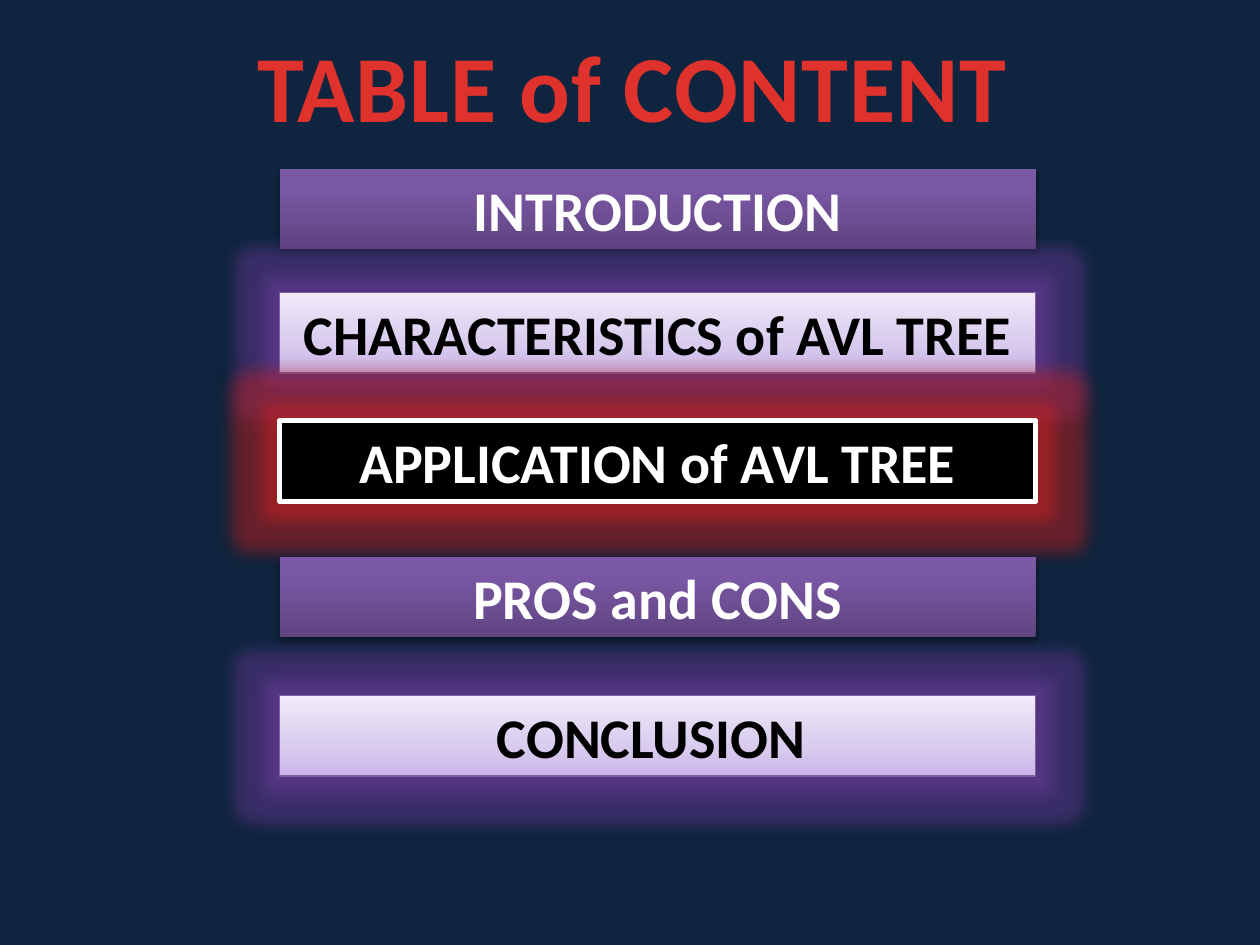
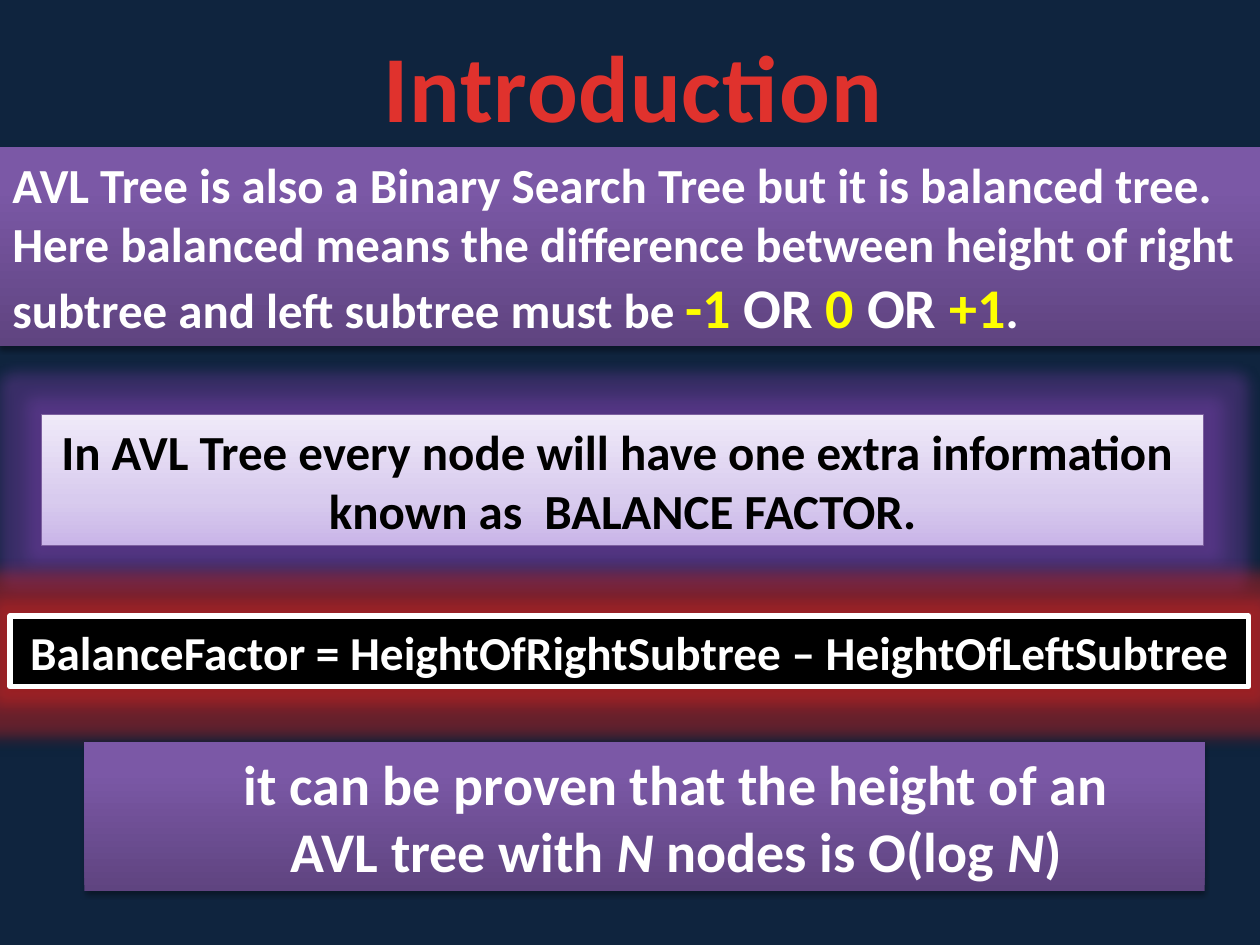
from lxml import etree
from pptx import Presentation
from pptx.dml.color import RGBColor
from pptx.enum.shapes import MSO_SHAPE
from pptx.enum.text import MSO_AUTO_SIZE, PP_ALIGN
from pptx.oxml.ns import qn
from pptx.util import Pt

RECT = MSO_SHAPE.RECTANGLE
GROW = MSO_AUTO_SIZE.SHAPE_TO_FIT_TEXT
MID, EVEN = PP_ALIGN.CENTER, PP_ALIGN.JUSTIFY
PX = 9144
FONT = "Calibri"
HEX = {
    "night": "0F243E", "title": "E0322D", "white": "FFFFFF", "black": "000000",
    "yellow": "FFFF00", "edge": "7D60A0", "violet": "7D45B4", "red": "EB2522",
}
DEEP = [(0, "5F4480"), (80, "7B58A6"), (100, "7C57A8")]
PALE = [(0, "C9B5E8"), (35, "D8CBEE"), (100, "F0EAF9")]
LOOKS = {
    "deep": {"fill": DEEP, "ink": "white", "shade": (35, 1.8)},
    "pale": {"fill": PALE, "ink": "black", "shade": (38, 1.6),
             "line": ("edge", 0.75), "glow": "violet"},
    "dark": {"fill": "black", "ink": "white", "shade": (38, 1.6),
             "line": ("white", 3), "glow": "red"},
}


def rgb(name):
    """Return the named colour."""
    return RGBColor.from_string(HEX[name])


def node(root, tag, **attrs):
    """Add a drawing element with the given attributes."""
    return etree.SubElement(root, qn("a:" + tag),
                            {key: str(val) for key, val in attrs.items()})


def tint(root, code, alpha):
    """Add a colour with an opacity in percent."""
    node(node(root, "srgbClr", val=code), "alpha", val=alpha * 1000)


def blend(shape, stops):
    """Fill a shape with an upward gradient."""
    shape.fill.gradient()
    shape.fill.gradient_angle = 90
    bag = shape._element.spPr.find(".//" + qn("a:gsLst"))
    bag.clear()
    for pos, code in stops:
        node(node(bag, "gs", pos=pos * 1000), "srgbClr", val=code)


def halo(shape, look):
    """Give a shape its glow and its soft shadow."""
    shape.shadow.inherit = False
    bag = shape._element.spPr.find(qn("a:effectLst"))
    if "glow" in look:
        tint(node(bag, "glow", rad=Pt(18)), HEX[look["glow"]], 40)
    alpha, drop = look["shade"]
    shade = node(bag, "outerShdw", blurRad=Pt(3.1), dist=Pt(drop),
                 dir=5400000, rotWithShape=0)
    tint(shade, HEX["black"], alpha)


def style(run, size, ink, bold=True, slant=False):
    """Format one run."""
    font = run.font
    font.name, font.size, font.bold = FONT, Pt(size), bold
    font.color.rgb = rgb(ink)
    if slant:
        font.italic = True


def write(shape, text, size, ink, align=MID, wrap=True):
    """Set the text of a shape in one style."""
    frame = shape.text_frame
    frame.word_wrap, frame.auto_size = wrap, GROW
    frame.text = text
    for para in frame.paragraphs:
        para.alignment = align
        for run in para.runs:
            style(run, size, ink)
    return frame.paragraphs[-1]


def extend(para, parts):
    """Add runs of mixed style to a paragraph."""
    for text, size, ink, slant in parts:
        run = para.add_run()
        run.text = text
        style(run, size, ink, slant=slant)


def panel(slide, kind, box, text, size, **opts):
    """Draw a text panel and return its last paragraph."""
    look = LOOKS[kind]
    shape = slide.shapes.add_shape(RECT, *(n * PX for n in box))
    if isinstance(look["fill"], list):
        blend(shape, look["fill"])
    else:
        shape.fill.solid()
        shape.fill.fore_color.rgb = rgb(look["fill"])
    if "line" in look:
        ink, width = look["line"]
        shape.line.color.rgb, shape.line.width = rgb(ink), Pt(width)
    else:
        shape.line.fill.background()
    halo(shape, look)
    return write(shape, text, size, look["ink"], **opts)


def page(deck, title, left, width):
    """Add a slide with its background and title."""
    slide = deck.slides.add_slide(deck.slide_layouts[6])
    slide.background.fill.solid()
    slide.background.fill.fore_color.rgb = rgb("night")
    box = slide.shapes.add_textbox(left * PX, 17 * PX, width * PX, 101 * PX)
    para = write(box, title, 54, "title", wrap=False)
    para.runs[0].font._element.set("spc", "50")
    return slide


def agenda(deck):
    """Build the table of content."""
    slide = page(deck, "TABLE of CONTENT", 191, 622)
    rows = [
        (134, "deep", "INTRODUCTION"),
        (232, "pale", "CHARACTERISTICS of AVL TREE"),
        (334, "dark", "APPLICATION of AVL TREE"),
        (442, "deep", "PROS and CONS"),
        (552, "pale", "CONCLUSION "),
    ]
    for top, kind, text in rows:
        panel(slide, kind, (222, top, 600, 64), text, 32)


def intro(deck):
    """Build the introduction."""
    slide = page(deck, "Introduction", 292, 421)
    para = panel(
        slide, "deep", (0, 117, 1003, 158),
        "AVL Tree is also a Binary Search Tree but it is balanced tree.\n"
        "Here balanced means the difference between height of right\n"
        "subtree and left subtree must be ", 28, align=EVEN, wrap=False)
    extend(para, [
        ("-1 ", 32, "yellow", False), ("OR", 32, "white", False),
        (" 0 ", 32, "yellow", False), ("OR", 32, "white", False),
        (" +1", 32, "yellow", False), (". ", 28, "white", False),
    ])
    panel(slide, "pale", (33, 329, 922, 104),
          "In AVL Tree every node will have one extra information \n"
          "known as  BALANCE FACTOR.", 28, wrap=False)
    panel(slide, "dark", (8, 489, 983, 56),
          "BalanceFactor = HeightOfRightSubtree – HeightOfLeftSubtree", 27)
    para = panel(slide, "deep", (67, 589, 889, 118),
                 "it can be proven that the height of an\vAVL tree with ", 32)
    para.level = 1
    extend(para, [
        ("N", 32, "white", True), (" nodes is O(log ", 32, "white", False),
        ("N", 32, "white", True), (")", 32, "white", False),
    ])


def main():
    """Build and save the deck."""
    deck = Presentation()
    deck.slide_width, deck.slide_height = 1000 * PX, 750 * PX
    agenda(deck)
    intro(deck)
    deck.save("out.pptx")


if __name__ == "__main__":
    main()
